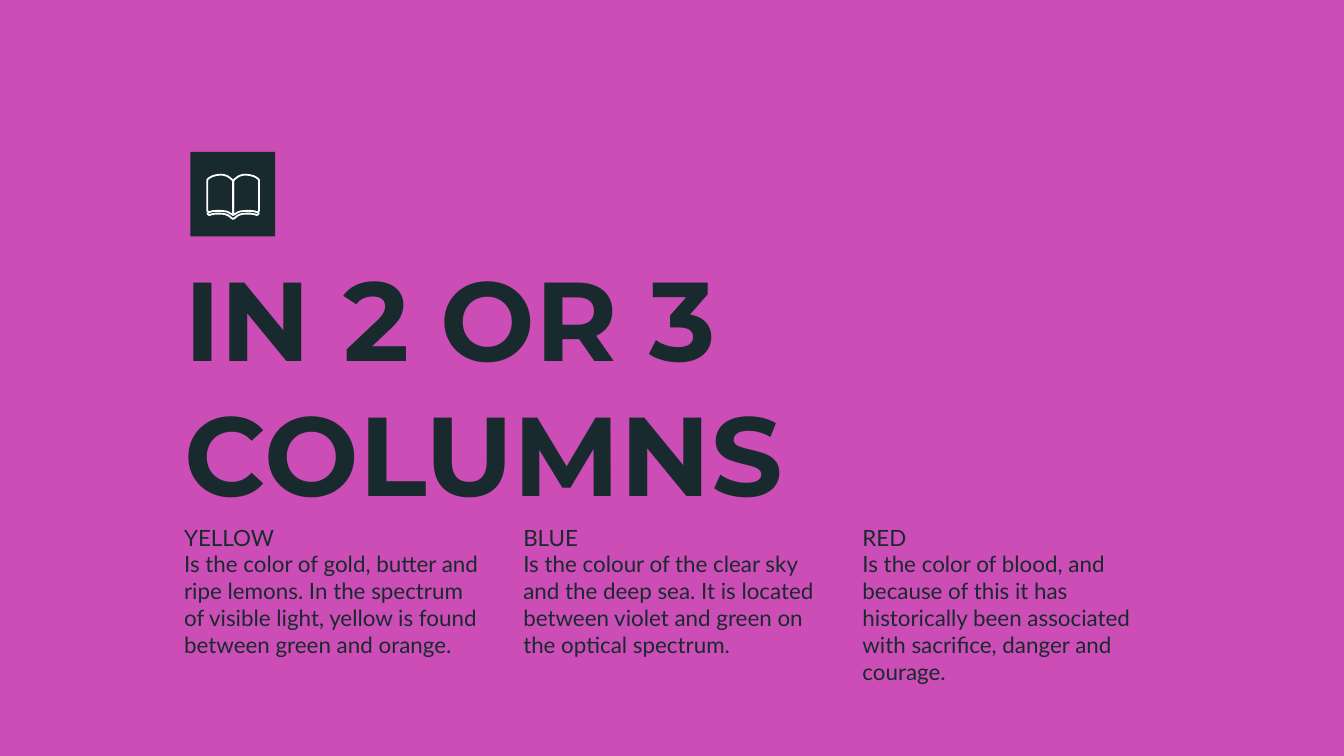
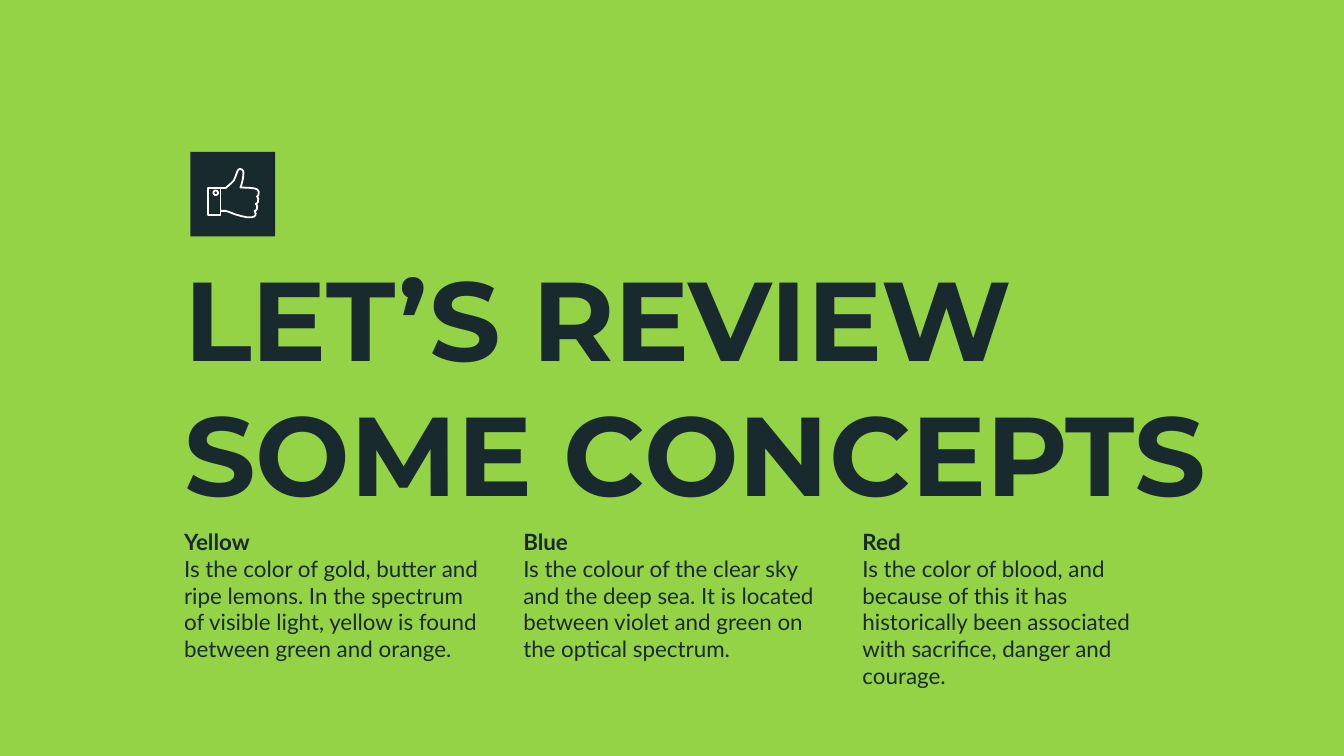
"""Build two colour-concept slides with an icon, a title and three text columns."""
import dataclasses
import math

import pptx
import pptx.dml.color
import pptx.enum.shapes
import pptx.enum.text
import pptx.util

Cm = pptx.util.Cm
Pt = pptx.util.Pt


@dataclasses.dataclass(frozen=True)
class Theme:
    dark: str = "182A2E"
    white: str = "FFFFFF"
    pink: str = "CC4DB6"
    green: str = "95D346"
    title_font: str = "Montserrat"
    body_font: str = "Lato"
    title_size: int = 60
    body_size: int = 12
    icon_line: float = 0.96


THEME = Theme()

COLUMNS = [
    ("Yellow", "Is the color of gold, butter and ripe lemons. In the spectrum of "
               "visible light, yellow is found between green and orange."),
    ("Blue", "Is the colour of the clear sky and the deep sea. It is located "
             "between violet and green on the optical spectrum."),
    ("Red", "Is the color of blood, and because of this it has historically been "
            "associated with sacrifice, danger and courage."),
]

# Icon outlines are in hundredths of an inch.
SPINE = 173.5
PAGE = [
    (0, 135), (0, 160), (2, 159), (3.5, 158), (5.5, 157.3), (9.5, 157), (13, 157),
    (16, 157.3), (17.5, 158), (18.5, 157.7), (19.3, 157), (19.3, 134), (18.5, 133),
    (17, 132), (15, 131), (12, 130.3), (9.5, 130), (7, 130.2), (4.5, 131),
    (2.5, 132.3), (0.5, 134),
]
COVER = [
    (0, 163), (1.5, 162), (3, 160.7), (5, 159.7), (7, 159.2), (9.5, 159), (13, 159),
    (16, 159.5), (17.5, 160), (18.5, 159.7), (19.3, 158.3),
]
CUFF = [(155, 140), (155, 160), (164, 160), (164, 140)]
BUTTON_CENTER, BUTTON_RADIUS, BUTTON_STEPS = (160.5, 143.5), 1.7, 24
HAND = [
    (164, 157), (168, 157), (171, 158), (175, 159.6), (180, 161), (184, 161.8),
    (187, 161.8), (189, 161.3), (190, 160.3), (190.3, 159), (189.5, 157),
    (190.5, 156.7), (191.2, 155.8), (191.4, 154), (191, 152.5), (190.4, 151.8),
    (191.4, 151.2), (192, 150.3), (192.2, 148), (191.8, 147), (191.2, 146.3),
    (192, 145.8), (192.3, 145), (192.6, 143), (192, 141.7), (191, 140.8),
    (189, 140.2), (185, 139.8), (179, 139.6), (180, 136.5), (180.8, 133),
    (181.2, 129), (181, 127.3), (180, 126.2), (178.7, 125.8), (177.5, 126.2),
    (176.8, 127.3), (175, 132), (174, 134.5), (172.5, 136), (170, 138.2),
    (168, 140), (164, 140),
]


def mirrored(points, side):
    return [(SPINE + side * x, y) for x, y in points]


def circle(center, radius, steps):
    angles = [2 * math.pi * step / steps for step in range(steps)]
    return [(center[0] + radius * math.cos(a), center[1] + radius * math.sin(a))
            for a in angles]


BOOK_ICON = [([mirrored(points, side)], closed)
             for points, closed in ((COVER, False), (PAGE, True)) for side in (-1, 1)]
THUMB_ICON = [
    ([CUFF, circle(BUTTON_CENTER, BUTTON_RADIUS, BUTTON_STEPS)], True),
    ([HAND], False),
]

SLIDES = [
    dict(title="IN 2 OR 3 COLUMNS", background=THEME.pink, icon=BOOK_ICON,
         title_width=18.92, columns_top=9.65, columns_height=4.01,
         capital_headings=True),
    dict(title="LET’S REVIEW SOME CONCEPTS", background=THEME.green, icon=THUMB_ICON,
         title_width=20.17, columns_top=9.73, columns_height=3.63,
         capital_headings=False),
]

SLIDE_WIDTH, SLIDE_HEIGHT = 25.4, 14.29
BADGE_LEFT, BADGE_TOP, BADGE_SIDE = 3.6, 2.87, 1.6
TEXT_LEFT, TITLE_TOP, TITLE_HEIGHT = 3.23, 4.47, 5.36
COLUMN_WIDTH, COLUMN_GAP = 6.1, 0.31
INSET = 0.25


def rgb(color):
    return pptx.dml.color.RGBColor.from_string(color)


def add_text(slide, paragraphs, left, top, width, height, font, size):
    """Add a text box from (text, bold) paragraphs."""
    box = slide.shapes.add_textbox(Cm(left), Cm(top), Cm(width), Cm(height))
    frame = box.text_frame
    frame.word_wrap = True
    frame.vertical_anchor = pptx.enum.text.MSO_ANCHOR.TOP
    frame.margin_left = frame.margin_right = Cm(INSET)
    frame.margin_top = frame.margin_bottom = Cm(INSET)
    for index, (text, bold) in enumerate(paragraphs):
        paragraph = frame.add_paragraph() if index else frame.paragraphs[0]
        run = paragraph.add_run()
        run.text = text
        run.font.name = font
        run.font.size = Pt(size)
        run.font.bold = bold
        run.font.color.rgb = rgb(THEME.dark)


def add_icon(slide, outlines):
    group = slide.shapes.add_group_shape()
    for contours, closed in outlines:
        scaled = [[(Cm(2.54 * x / 100), Cm(2.54 * y / 100)) for x, y in contour]
                  for contour in contours]
        builder = group.shapes.build_freeform(*scaled[0][0])
        builder.add_line_segments(scaled[0][1:], close=closed)
        for contour in scaled[1:]:
            builder.move_to(*contour[0])
            builder.add_line_segments(contour[1:], close=closed)
        shape = builder.convert_to_shape()
        shape.shadow.inherit = False
        shape.fill.background()
        shape.line.color.rgb = rgb(THEME.white)
        shape.line.width = Pt(THEME.icon_line)


def add_badge(slide):
    badge = slide.shapes.add_shape(
        pptx.enum.shapes.MSO_SHAPE.RECTANGLE,
        Cm(BADGE_LEFT), Cm(BADGE_TOP), Cm(BADGE_SIDE), Cm(BADGE_SIDE))
    badge.shadow.inherit = False
    badge.fill.solid()
    badge.fill.fore_color.rgb = rgb(THEME.dark)
    badge.line.fill.background()


def add_slide(presentation, content):
    slide = presentation.slides.add_slide(presentation.slide_layouts[6])
    slide.background.fill.solid()
    slide.background.fill.fore_color.rgb = rgb(content["background"])
    add_badge(slide)
    add_text(slide, [(content["title"], True)], left=TEXT_LEFT, top=TITLE_TOP,
             width=content["title_width"], height=TITLE_HEIGHT,
             font=THEME.title_font, size=THEME.title_size)
    capitals = content["capital_headings"]
    for index, (heading, body) in enumerate(COLUMNS):
        paragraphs = [(heading.upper() if capitals else heading, not capitals),
                      (body, False)]
        add_text(slide, paragraphs,
                 left=TEXT_LEFT + index * (COLUMN_WIDTH + COLUMN_GAP),
                 top=content["columns_top"], width=COLUMN_WIDTH,
                 height=content["columns_height"],
                 font=THEME.body_font, size=THEME.body_size)
    add_icon(slide, content["icon"])


def main():
    presentation = pptx.Presentation()
    presentation.slide_width = Cm(SLIDE_WIDTH)
    presentation.slide_height = Cm(SLIDE_HEIGHT)
    for content in SLIDES:
        add_slide(presentation, content)
    presentation.save("out.pptx")


if __name__ == "__main__":
    main()
